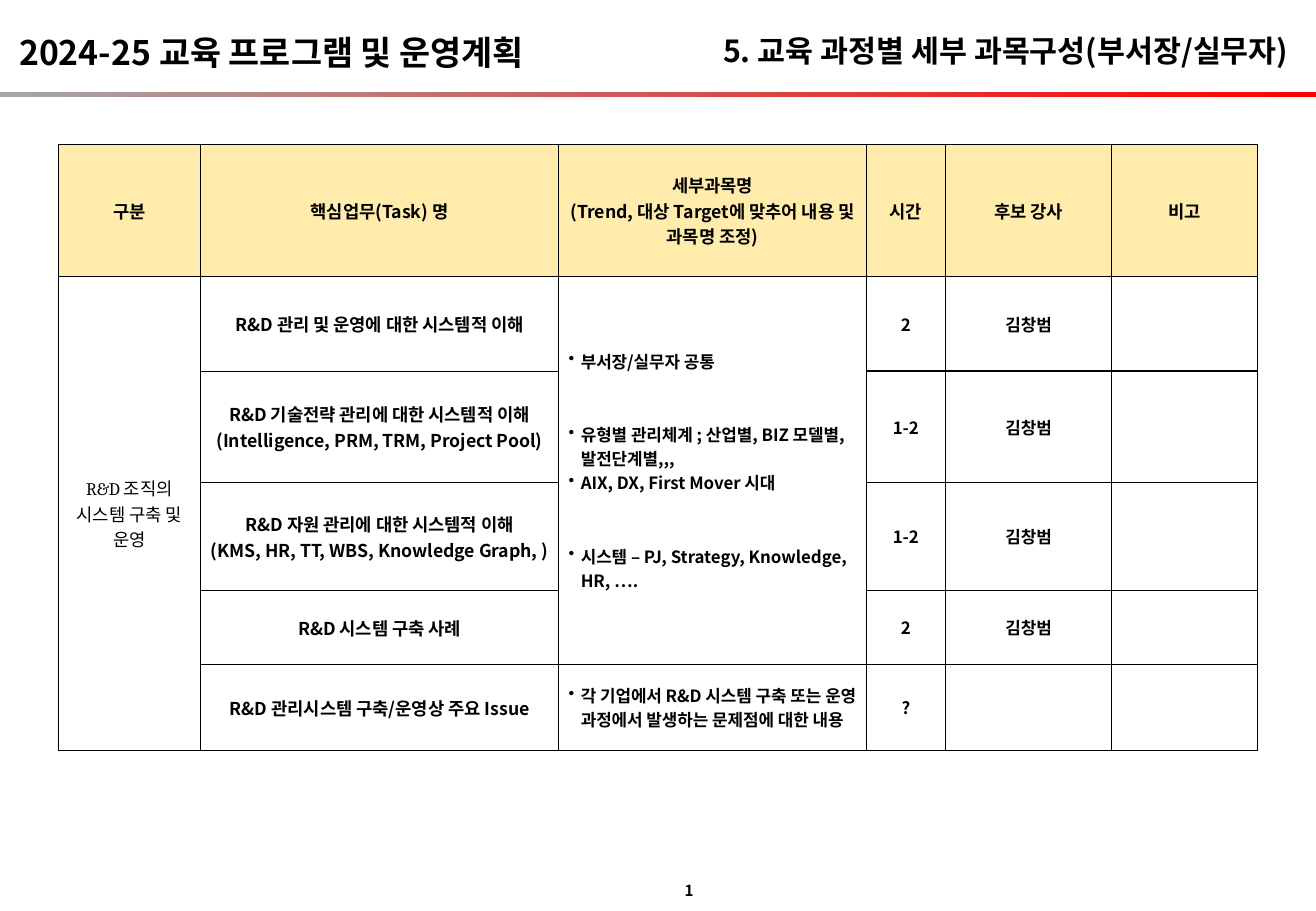
from pptx import Presentation
from pptx.dml.color import RGBColor
from pptx.enum.shapes import MSO_SHAPE
from pptx.enum.text import MSO_ANCHOR, PP_ALIGN
from pptx.oxml.ns import qn
from pptx.util import Inches, Pt
from lxml.etree import SubElement

# Content
SANS, SERIF = "Noto Sans CJK KR", "Cambria"
BLACK, WHITE, CREAM, GRAY, RED = "000000", "FFFFFF", "FFEBAB", "A6A6A6", "FF0000"
LEFT, RIGHT, MID = PP_ALIGN.LEFT, PP_ALIGN.RIGHT, PP_ALIGN.CENTER

# Text, box as shares of the slide, size, alignment
LABELS = [
    ("2024-25 교육 프로그램 및 운영계획", (0.0055, 0.028, 0.44, 0.059), 20, LEFT),
    ("5. 교육 과정별 세부 과목구성(부서장/실무자)", (0.493, 0.029, 0.495, 0.053), 18, RIGHT),
    ("1", (0.51, 0.961, 0.026, 0.033), 9, RIGHT),
]
BAR = (0, 0.101, 1, 0.0055)
GRID = (0.0443, 0.1587, 0.9114, 0.6653)
COLS = [1.17, 2.95, 2.53, 0.65, 1.37, 1.2]
ROWS = [1.09, 0.78, 0.92, 0.89, 0.61, 0.71]

HEADS = ["구분", "핵심업무(Task) 명",
         "세부과목명\n(Trend, 대상 Target에 맞추어 내용 및 과목명 조정)",
         "시간", "후보 강사", "비고"]
GROUP = "R&D 조직의\n시스템 구축 및 운영"
TASKS = [
    ("R&D 관리 및 운영에 대한 시스템적 이해", "2", "김창범"),
    ("R&D 기술전략 관리에 대한 시스템적 이해\n(Intelligence, PRM, TRM, Project Pool)", "1-2", "김창범"),
    ("R&D 자원 관리에 대한 시스템적 이해\n(KMS, HR, TT, WBS, Knowledge Graph, )", "1-2", "김창범"),
    ("R&D 시스템 구축 사례", "2", "김창범"),
    ("R&D 관리시스템 구축/운영상 주요 Issue", "?", ""),
]
TOPICS = """부서장/실무자 공통
유형별 관리체계 ; 산업별, BIZ 모델별, 발전단계별,,,
AIX, DX, First Mover 시대
시스템 – PJ, Strategy, Knowledge, HR, …."""
ISSUE = "각 기업에서 R&D 시스템 구축 또는 운영 과정에서 발생하는 문제점에 대한 내용"
GAP = 29  # points before the topics that open a new group

deck = Presentation()
deck.slide_width, deck.slide_height = Inches(10.83), Inches(7.5)
slide = deck.slides.add_slide(deck.slide_layouts[6])


def color(code):
    return RGBColor.from_string(code)


def place(box):
    sides = (deck.slide_width, deck.slide_height) * 2
    return [int(part * side) for part, side in zip(box, sides)]


def write(frame, text, size=10.5, font=SANS, bold=True, align=MID, bullet=False, gaps=()):
    frame.word_wrap = True
    for i, line in enumerate(text.split("\n")):
        para = frame.add_paragraph() if i else frame.paragraphs[0]
        para.alignment = align
        if i in gaps:
            para.space_before = Pt(GAP)
        if bullet:
            props = para._p.get_or_add_pPr()
            props.set("marL", str(Inches(0.1)))
            props.set("indent", str(-Inches(0.1)))
            SubElement(props, qn("a:buChar")).set("char", "•")
        run = para.add_run()
        run.text = line
        run.font.name, run.font.size, run.font.bold = font, Pt(size), bold
        run.font.color.rgb = color(BLACK)
        SubElement(run._r.get_or_add_rPr(), qn("a:ea")).set("typeface", SANS)


def edge(cell, side, width):
    line = SubElement(cell._tc.get_or_add_tcPr(), qn("a:ln" + side), w=str(Pt(width)))
    fill = SubElement(line, qn("a:solidFill"))
    SubElement(fill, qn("a:srgbClr")).set("val", BLACK)


# Header bar
bar = slide.shapes.add_shape(MSO_SHAPE.RECTANGLE, *place(BAR))
bar.shadow.inherit = False
bar.line.fill.background()
bar.fill.gradient()
bar.fill.gradient_angle = 0
for stop, code in zip(bar.fill.gradient_stops, (GRAY, RED)):
    stop.color.rgb = color(code)

# Titles and page number
for text, box, size, align in LABELS:
    frame = slide.shapes.add_textbox(*place(box)).text_frame
    frame.vertical_anchor = MSO_ANCHOR.MIDDLE
    write(frame, text, size=size, align=align)

# Table grid
box = place(GRID)
table = slide.shapes.add_table(len(ROWS), len(COLS), *box).table
table.first_row = table.horz_banding = False
for col, part in zip(table.columns, COLS):
    col.width = int(box[2] * part / sum(COLS))
for row, part in zip(table.rows, ROWS):
    row.height = int(box[3] * part / sum(ROWS))

# Cell format: heavier lines around the right-hand columns
for r in range(len(ROWS)):
    for c in range(len(COLS)):
        cell = table.cell(r, c)
        for side, at in (("L", c), ("R", c + 1)):
            edge(cell, side, 1 if at in (3, 4, 5) else 0.75)
        for side, at in (("T", r), ("B", r + 1)):
            edge(cell, side, 1 if c > 2 and at in (2, 3, 6) else 0.75)
        cell.fill.solid()
        cell.fill.fore_color.rgb = color(WHITE if r else CREAM)
        cell.vertical_anchor = MSO_ANCHOR.MIDDLE
        cell.margin_top = cell.margin_bottom = Inches(0.04)
        wide = r > 0 and c > 1
        cell.margin_left = cell.margin_right = Inches(0.08 if wide else 0.04)

table.cell(1, 0).merge(table.cell(5, 0))
table.cell(1, 2).merge(table.cell(4, 2))

# Table text
for c, head in enumerate(HEADS):
    write(table.cell(0, c).text_frame, head)
write(table.cell(1, 0).text_frame, GROUP, font=SERIF, bold=False)
for r, (task, hours, tutor) in enumerate(TASKS, 1):
    write(table.cell(r, 1).text_frame, task)
    write(table.cell(r, 3).text_frame, hours, size=10)
    if tutor:
        write(table.cell(r, 4).text_frame, tutor, size=10)
for r, text, gaps in ((1, TOPICS, (1, 3)), (5, ISSUE, ())):
    write(table.cell(r, 2).text_frame, text, size=10, align=LEFT, bullet=True, gaps=gaps)

deck.save("out.pptx")
